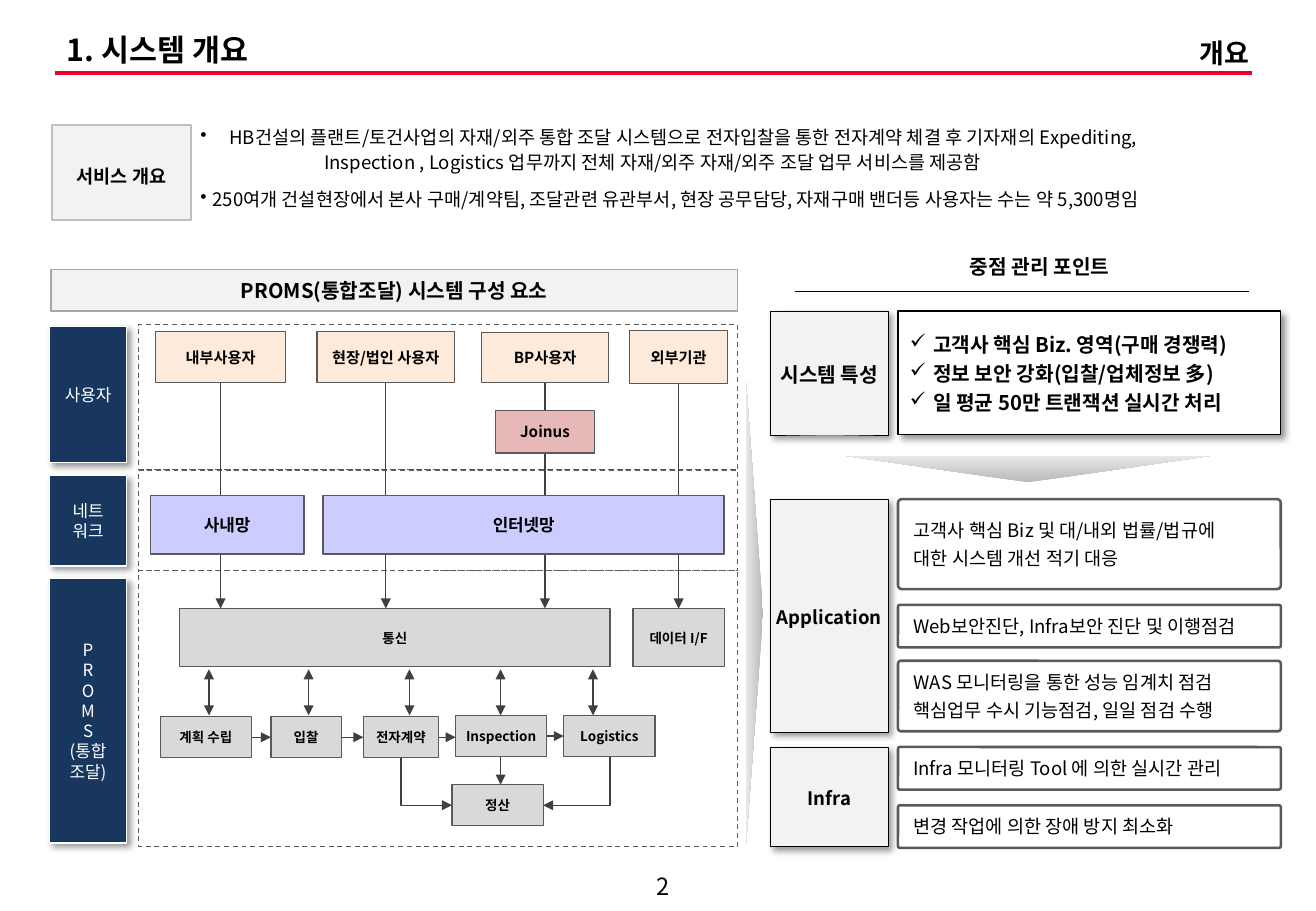
from pptx import Presentation
from pptx import util as u
from pptx.dml.color import RGBColor
from pptx.enum import dml, shapes, text
from pptx.oxml import parse_xml
from pptx.oxml.ns import nsdecls, qn

THEME = dict(
    font="Noto Sans CJK KR", black="000000", white="FFFFFF", red="EA002C", navy="17375E",
    pale="F2F2F2", silver="BFBFBF", gray="D9D9D9", frame="A6A6A6", edge="595959", arrow="404040",
    peach="FDEADA", rose="E6B9B8", lilac="CCCCFF", fade=("B8B8B8", "E9E9E9"),
    title=18, section=16, page=14, head=12, body=11, network=10, user=9, task=8)

# Content
TITLE, SECTION, PAGE_NUMBER = "1. 시스템 개요", "개요", "2"
SERVICE_LABEL = "서비스 개요"
# text, left indent, bullet, exact line height, space after
SERVICE_LINES = [
    ("HB건설의 플랜트/토건사업의 자재/외주 통합 조달 시스템으로 전자입찰을 통한 전자계약 체결 후 기자재의 Expediting,",
     0.24, "•", 15, 0),
    ("Inspection , Logistics 업무까지 전체 자재/외주 자재/외주 조달 업무 서비스를 제공함", 1.02, None, 15, 3),
    ("250여개 건설현장에서 본사 구매/계약팀, 조달관련 유관부서, 현장 공무담당, 자재구매 밴더등 사용자는 수는 약 5,300명임",
     0.1, "•", 18.7, 0)]
DIAGRAM_TITLE = "PROMS(통합조달) 시스템 구성 요소"
# lane top, lane height, label top, label height, label lines
LANES = [(2.67, 1.2, 2.69, 1.12, ["사용자"]),
         (3.87, 0.83, 3.91, 0.75, ["네트", "워크"]),
         (4.7, 2.27, 4.76, 2.18, [*"PROMS", "(통합", "조달)"])]
# text, left, top, width, height
USERS = [("내부사용자", 1.28, 2.73, 1.07, 0.42), ("현장/법인 사용자", 2.61, 2.73, 1.13, 0.42),
         ("BP사용자", 3.96, 2.74, 1.05, 0.41), ("외부기관", 5.18, 2.72, 0.81, 0.44)]
PORTAL = [("Joinus", 4.08, 3.38, 0.81, 0.35)]
NETWORKS = [("사내망", 1.24, 4.08, 1.26, 0.48), ("인터넷망", 2.66, 4.08, 3.3, 0.48)]
GATEWAYS = [("통신", 1.48, 5.01, 3.54, 0.48), ("데이터 I/F", 5.21, 5.01, 0.75, 0.48)]
TASKS = [("계획 수립", 1.32, 5.9, 0.75, 0.34), ("입찰", 2.23, 5.9, 0.58, 0.34),
         ("전자계약", 2.99, 5.9, 0.62, 0.34), ("Inspection", 3.75, 5.89, 0.75, 0.34),
         ("Logistics", 4.64, 5.89, 0.75, 0.34)]
SETTLEMENT = ("정산", 3.72, 6.46, 0.75, 0.34)
TASK_LINK_X = [1.72, 2.54, 3.37, 4.12, 4.88]
POINTS_TITLE = "중점 관리 포인트"
TRAITS = ["고객사 핵심 Biz. 영역(구매 경쟁력)", "정보 보안 강화(입찰/업체정보 多)",
          "일 평균 50만 트랜잭션 실시간 처리"]
# label, top, height, type size
CATEGORIES = [("시스템 특성", 2.56, 1.02, "head"), ("Application", 4.11, 1.92, "body"),
              ("Infra", 6.15, 0.82, "body")]
# top, height, lines
ACTIONS = [(4.11, 0.74, ["고객사 핵심 Biz 및 대/내외 법률/법규에", "대한 시스템 개선 적기 대응"]),
           (4.98, 0.35, ["Web보안진단, Infra보안 진단 및 이행점검"]),
           (5.44, 0.58, ["WAS 모니터링을 통한 성능 임계치 점검", "핵심업무 수시 기능점검, 일일 점검 수행"]),
           (6.15, 0.35, ["Infra 모니터링 Tool 에 의한 실시간 관리"]),
           (6.63, 0.35, ["변경 작업에 의한 장애 방지 최소화"])]

deck = Presentation()
deck.slide_width, deck.slide_height = u.Inches(10.83), u.Inches(7.5)
page = deck.slides.add_slide(deck.slide_layouts[5])
RECT = shapes.MSO_SHAPE.RECTANGLE
CENTER, LEFT, RIGHT = text.PP_ALIGN.CENTER, text.PP_ALIGN.LEFT, text.PP_ALIGN.RIGHT


def color(name):
    return RGBColor.from_string(THEME[name])


def apply(target, values):
    for name, value in values.items():
        setattr(target, name, value)


def set_bullet(para, indent, bullet):
    props = para._p.get_or_add_pPr()
    props.set("marL", str(u.Inches(indent)))
    props.set("indent", str(-u.Inches(indent) if bullet else 0))
    if bullet:
        props.append(parse_xml(f'<a:buChar {nsdecls("a")} char="{bullet}"/>'))


def write(box, lines, size, ink="black", bold=True, align=CENTER, insets=(0.1, 0.05, 0.1, 0.05),
          wrap=True, anchor=text.MSO_ANCHOR.MIDDLE, spacing=None, before=0):
    frame = box.text_frame
    sides = ("margin_left", "margin_top", "margin_right", "margin_bottom")
    apply(frame, dict(zip(sides, map(u.Inches, insets)), word_wrap=wrap,
                      vertical_anchor=anchor, auto_size=text.MSO_AUTO_SIZE.NONE))
    for index, line in enumerate(lines):
        para = frame.paragraphs[0] if index == 0 else frame.add_paragraph()
        apply(para, dict(alignment=align, line_spacing=spacing,
                         space_before=u.Pt(before if index else 0)))
        span = para.add_run()
        span.text = line
        apply(span.font, dict(name=THEME["font"], size=u.Pt(THEME[size]), bold=bold))
        span.font.color.rgb = color(ink)
        span._r.get_or_add_rPr().append(
            parse_xml(f'<a:ea {nsdecls("a")} typeface="{THEME["font"]}"/>'))
    return frame


def add_box(at, fill=None, edge=None, weight=0.75, kind=RECT, dash=None, shadow=False):
    box = page.shapes.add_shape(kind, *map(u.Inches, at))
    box.shadow.inherit = False
    if fill:
        box.fill.solid()
        box.fill.fore_color.rgb = color(fill)
    if edge:
        box.line.color.rgb = color(edge)
        apply(box.line, dict(width=u.Pt(weight), dash_style=dash))
    else:
        box.line.fill.background()
    if shadow:
        box._element.spPr.find(qn("a:effectLst")).append(parse_xml(
            f'<a:outerShdw {nsdecls("a")} blurRad="50800" dist="38100" dir="2700000">'
            '<a:srgbClr val="000000"><a:alpha val="40000"/></a:srgbClr></a:outerShdw>'))
    return box


def add_text(at, lines, size, **style):
    return write(page.shapes.add_textbox(*map(u.Inches, at)), lines, size, **style)


def add_line(start, end, ink="arrow", weight=0.75, ends=("tailEnd",), bent=False):
    kind = shapes.MSO_CONNECTOR.ELBOW if bent else shapes.MSO_CONNECTOR.STRAIGHT
    line = page.shapes.add_connector(kind, *map(u.Inches, (*start, *end)))
    line.line.color.rgb = color(ink)
    line.line.width = u.Pt(weight)
    props = line._element.spPr
    for name in ends:
        props.find(qn("a:ln")).append(parse_xml(f'<a:{name} {nsdecls("a")} type="triangle"/>'))
    if bent:
        props.find(qn("a:prstGeom")).set("prst", "bentConnector2")
    props.append(parse_xml(f'<a:effectLst {nsdecls("a")}/>'))


def add_wedge(at, rotation):
    wedge = add_box(at, kind=shapes.MSO_SHAPE.ISOSCELES_TRIANGLE)
    wedge.rotation = rotation
    wedge.fill.gradient()
    wedge.fill.gradient_angle = 270
    for stop, shade, place in zip(wedge.fill.gradient_stops, THEME["fade"], (0, 1)):
        stop.color.rgb = RGBColor.from_string(shade)
        stop.position = place


def add_nodes(nodes, fill, size, weight=0.75):
    for label, *at in nodes:
        write(add_box(at, fill, "edge", weight), [label], size, insets=(0, 0.05, 0, 0.05))


# Header and page number
add_line((0.45, 0.6), (10.3, 0.6), "red", 2.25, ends=())
title = page.shapes.title
apply(title, dict(zip(("left", "top", "width", "height"), map(u.Inches, (0.45, 0.24, 8.03, 0.37)))))
write(title, [TITLE], "title", align=LEFT, spacing=0.9)
add_text((9.12, 0.25, 1.26, 0.37), [SECTION], "section", align=RIGHT, anchor=text.MSO_ANCHOR.TOP)
add_text((5.1, 7.14, 0.71, 0.31), [PAGE_NUMBER], "page", bold=False)

# Service overview
write(add_box((0.43, 1.03, 1.14, 0.78), "pale", "silver", 1), [SERVICE_LABEL], "body",
      wrap=False, spacing=1.35)
service = add_text((1.55, 0.96, 9.04, 0.83), [line[0] for line in SERVICE_LINES], "body",
                   bold=False, align=LEFT, anchor=text.MSO_ANCHOR.TOP)
for para, (_, indent, bullet, height, after) in zip(service.paragraphs, SERVICE_LINES):
    apply(para, dict(line_spacing=u.Pt(height), space_after=u.Pt(after)))
    set_bullet(para, indent, bullet)

# Diagram lanes
write(add_box((0.42, 2.22, 5.65, 0.34), "pale", "frame", 1), [DIAGRAM_TITLE], "head", wrap=False)
for top, height, label_top, label_height, label in LANES:
    add_box((1.14, top, 4.93, height), "white", "edge", dash=dml.MSO_LINE.DASH)
    write(add_box((0.41, label_top, 0.63, label_height), "navy", "white", shadow=True), label,
          "network", ink="white", bold=False, insets=(0.04, 0.05, 0.04, 0.05))

# Diagram arrows
for _, left, top, width, height in USERS:
    middle = left + width / 2
    add_line((middle, top + height), (middle, GATEWAYS[0][2]))
for x in TASK_LINK_X:
    add_line((x, 5.51), (x, 5.89), ends=("headEnd", "tailEnd"))
for (_, left, top, width, height), following in zip(TASKS, TASKS[1:]):
    add_line((left + width, top + height / 2), (following[1], top + height / 2))
_, left, top, width, height = SETTLEMENT
add_line((4.12, 6.23), (4.12, top))
for side, source_x in ((left, 3.3), (left + width, 5.02)):
    add_line((side, top + height / 2), (source_x, 6.23), ends=("headEnd",), bent=True)

# Diagram nodes
add_nodes(USERS, "peach", "user")
add_nodes(PORTAL, "rose", "user")
add_nodes(NETWORKS, "lilac", "network", 1)
add_nodes(GATEWAYS + TASKS + [SETTLEMENT], "gray", "task")

# Management points
add_wedge((4.31, 4.98, 3.8, 0.14), 90)
add_wedge((6.94, 3.75, 3.04, 0.22), 180)
write(add_box((6.79, 1.98, 3.49, 0.42), "white"), [POINTS_TITLE], "head",
      insets=(0.04, 0.05, 0, 0.05))
add_line((6.54, 2.4), (10.28, 2.4), "black", ends=())
for label, top, height, size in CATEGORIES:
    write(add_box((6.34, top, 0.97, height), "pale", "black", 0.25, shadow=True), [label], size,
          wrap=False, spacing=1.1)
traits = write(add_box((7.39, 2.56, 3.15, 1.02), "white", "black", shadow=True), TRAITS, "head",
               align=LEFT, insets=(0.1, 0.05, 0.1, 0.08), spacing=1.2)
for para in traits.paragraphs:
    set_bullet(para, 0.19, "✓")
for top, height, lines in ACTIONS:
    box = add_box((7.39, top, 3.15, height), "white", "edge", 1.5,
                  kind=shapes.MSO_SHAPE.ROUNDED_RECTANGLE)
    box.adjustments[0] = 0.04
    write(box, lines, "body", bold=False, align=LEFT, insets=(0.12, 0.04, 0.08, 0.04), before=3)

deck.save("out.pptx")
